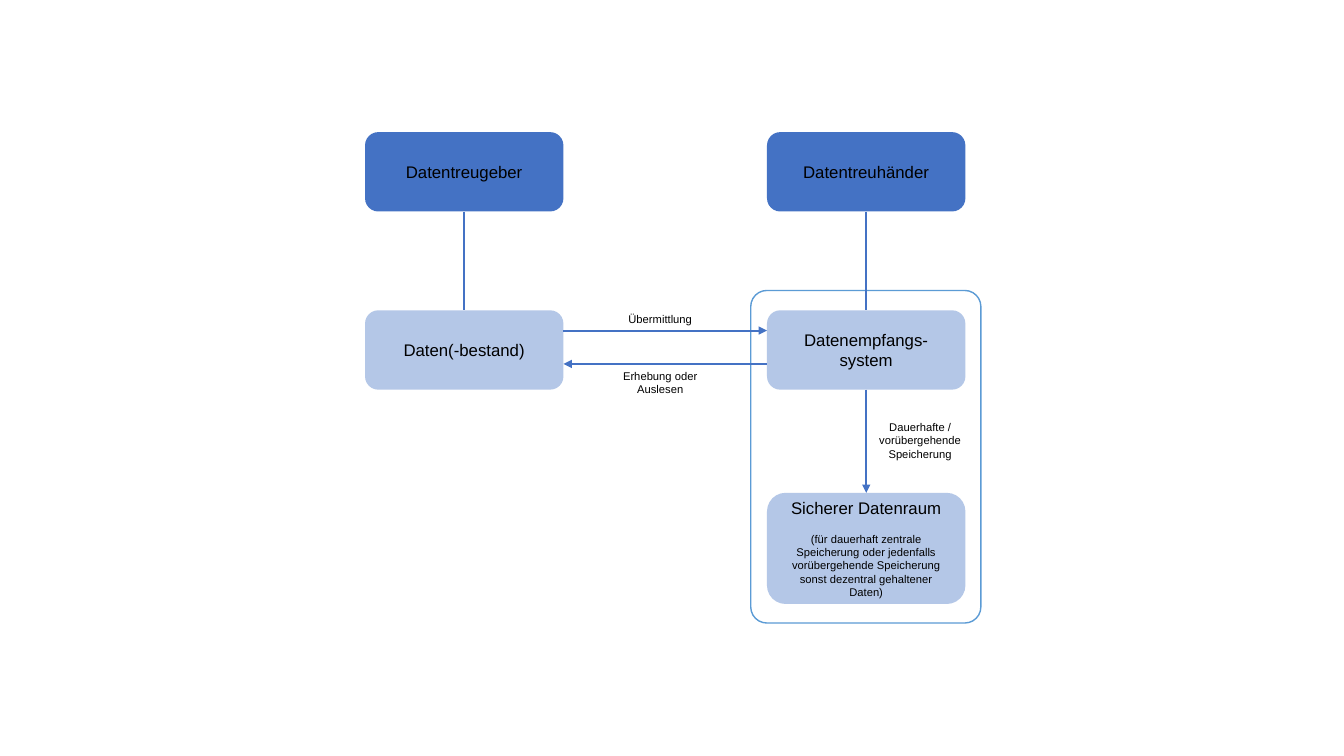
from pptx import Presentation
from pptx.dml.color import RGBColor
from pptx.enum.shapes import MSO_CONNECTOR, MSO_SHAPE
from pptx.enum.text import MSO_ANCHOR, PP_ALIGN
from pptx.oxml.ns import qn
from pptx.util import Cm, Pt
from lxml import etree

ROUNDED = MSO_SHAPE.ROUNDED_RECTANGLE
STRAIGHT = MSO_CONNECTOR.STRAIGHT
MIDDLE = MSO_ANCHOR.MIDDLE
CENTER = PP_ALIGN.CENTER
TOP, BOTTOM = 0, 2  # connection sites of a rounded rectangle

COLORS = {
    "actor": "4472C4",
    "data": "B4C7E7",
    "line": "4472C4",
    "frame": "5B9BD5",
    "text": "000000",
}
BOX_WIDTH, BOX_HEIGHT = 5, 2
GIVER_LEFT, TRUSTEE_LEFT = 9.2, 19.33
ACTOR_TOP, DATA_TOP, ROOM_TOP = 3.33, 7.82, 12.42


def write_text(paragraph, text, size=12, color="text", font="Arial", space_after=10):
    """Fill a paragraph with centred, formatted text."""
    paragraph.alignment = CENTER
    paragraph.space_after = Pt(space_after)
    run = paragraph.add_run()
    run.text = text
    run.font.name = font
    run.font.size = Pt(size)
    run.font.color.rgb = RGBColor.from_string(COLORS[color])


class Diagram:
    """Hold the current slide and the style of its elements."""

    def __init__(self, slide, line_width=1.5, label_size=8):
        """Keep the slide and the shared sizes."""
        self.slide = slide
        self.line_width = line_width
        self.label_size = label_size

    def rounded(self, left, top, width, height, fill=None):
        """Add a rounded rectangle without outline."""
        shape = self.slide.shapes.add_shape(
            ROUNDED, Cm(left), Cm(top), Cm(width), Cm(height))
        shape.shadow.inherit = False
        shape.line.fill.background()
        if fill:
            shape.fill.solid()
            shape.fill.fore_color.rgb = RGBColor.from_string(COLORS[fill])
        else:
            shape.fill.background()
        shape.text_frame.word_wrap = True
        shape.text_frame.vertical_anchor = MIDDLE
        return shape

    def box(self, left, top, text, fill, height=BOX_HEIGHT, detail=None):
        """Add a filled box with a heading and an optional small detail."""
        shape = self.rounded(left, top, BOX_WIDTH, height, fill)
        frame = shape.text_frame
        write_text(frame.paragraphs[0], text)
        if detail:
            write_text(frame.add_paragraph(), detail, size=self.label_size)
        return shape

    def label(self, left, top, width, height, text):
        """Add a small caption without fill."""
        shape = self.rounded(left, top, width, height)
        write_text(shape.text_frame.paragraphs[0], text, size=self.label_size)

    def frame(self, left, top, width, height):
        """Add an outline that groups boxes."""
        shape = self.rounded(left, top, width, height)
        shape.adjustments[0] = 0.07
        shape.line.color.rgb = RGBColor.from_string(COLORS["frame"])
        shape.line.width = Pt(1)

    def line(self, start=(0, 0), end=(0, 0), arrow=False):
        """Add a straight line, with an arrowhead at its end if wanted."""
        connector = self.slide.shapes.add_connector(
            STRAIGHT, Cm(start[0]), Cm(start[1]), Cm(end[0]), Cm(end[1]))
        connector.line.color.rgb = RGBColor.from_string(COLORS["line"])
        connector.line.width = Pt(self.line_width)
        if arrow:
            outline = connector.line._get_or_add_ln()
            etree.SubElement(outline, qn("a:tailEnd"), type="triangle")
        etree.SubElement(connector._element.spPr, qn("a:effectLst"))
        return connector

    def link(self, upper, lower, arrow=False):
        """Connect the bottom of one box to the top of another."""
        connector = self.line(arrow=arrow)
        connector.begin_connect(upper, BOTTOM)
        connector.end_connect(lower, TOP)


def build():
    """Build the data trustee slide and save it."""
    presentation = Presentation()
    presentation.slide_width = Cm(33.87)
    presentation.slide_height = Cm(19.05)
    diagram = Diagram(presentation.slides.add_slide(presentation.slide_layouts[6]))

    giver = diagram.box(GIVER_LEFT, ACTOR_TOP, "Datentreugeber", "actor")
    trustee = diagram.box(TRUSTEE_LEFT, ACTOR_TOP, "Datentreuhänder", "actor")
    stock = diagram.box(GIVER_LEFT, DATA_TOP, "Daten(-bestand)", "data")
    receiver = diagram.box(TRUSTEE_LEFT, DATA_TOP, "Datenempfangs-system", "data")
    room = diagram.box(
        TRUSTEE_LEFT, ROOM_TOP, "Sicherer Datenraum", "data", height=2.8,
        detail="(für dauerhaft zentrale Speicherung oder jedenfalls "
               "vorübergehende Speicherung sonst dezentral gehaltener Daten)")

    diagram.label(15.42, 7.72, 2.44, 0.64, "Übermittlung")
    diagram.label(15.27, 9.32, 2.74, 0.64, "Erhebung oder Auslesen")
    diagram.label(21.74, 10.34, 2.9, 1.52, "Dauerhafte / vorübergehende Speicherung")
    diagram.frame(18.92, 7.32, 5.8, 8.38)

    diagram.link(receiver, room, arrow=True)
    diagram.link(giver, stock)
    diagram.link(trustee, receiver)
    stock_right = GIVER_LEFT + BOX_WIDTH
    diagram.line((stock_right, 8.33), (TRUSTEE_LEFT, 8.33), arrow=True)
    diagram.line((TRUSTEE_LEFT, 9.17), (stock_right, 9.17), arrow=True)

    presentation.save("out.pptx")


build()
